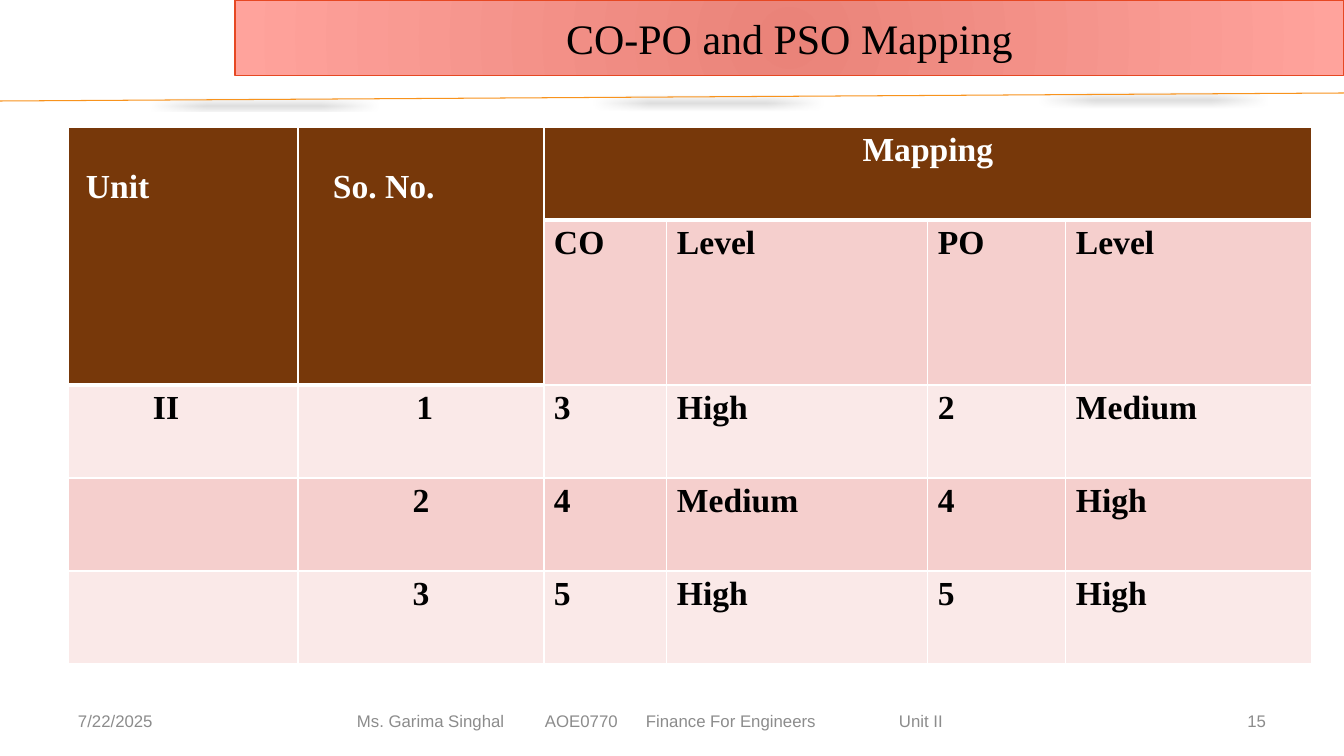
from lxml.etree import SubElement
from pptx import Presentation
from pptx.dml.color import RGBColor
from pptx.enum.shapes import MSO_CONNECTOR, MSO_SHAPE
from pptx.enum.text import MSO_ANCHOR, PP_ALIGN
from pptx.oxml import parse_xml
from pptx.oxml.ns import nsdecls, qn
from pptx.util import Pt

PX = 914400 / 100.8
SERIF, SANS = "Times New Roman", "Arial"
WHITE, BLACK, GREY = "FFFFFF", "000000", "8C8C8C"
BROWN, ROSE, PALE = "77380A", "F5CFCD", "FAE9E8"


def px(*lengths):
    """Turn pixel lengths into a list of EMU."""
    return [round(n * PX) for n in lengths]


def write(tf, text, size, font, color, align=PP_ALIGN.LEFT, bold=False):
    p = tf.paragraphs[0]
    p.alignment = align
    r = p.add_run()
    r.text = text
    r.font.size, r.font.name, r.font.bold = Pt(size), font, bold
    r.font.color.rgb = RGBColor.from_string(color)


prs = Presentation()
prs.slide_width, prs.slide_height = px(1344, 756)
s = prs.slides.add_slide(prs.slide_layouts[6])

# Rule under the title
rule = s.shapes.add_connector(MSO_CONNECTOR.STRAIGHT, *px(0, 101, 1344, 93))
rule.line.color.rgb = RGBColor.from_string("F8931D")
rule.line.width = Pt(0.75)
rule._element.spPr.append(parse_xml(
    f'<a:effectLst {nsdecls("a")}>'
    '<a:outerShdw blurRad="50800" dist="38100" dir="5400000" rotWithShape="0">'
    '<a:srgbClr val="000000"><a:alpha val="40000"/></a:srgbClr>'
    '</a:outerShdw></a:effectLst>'))

# Mapping table
COLS = [230, 246, 123, 261, 138, 246]
ROWS = [93, 165, 93, 93, 93]
VALUES = [
    ["Unit", "So. No.", "Mapping", "", "", ""],
    ["", "", "CO", "Level", "PO", "Level"],
    ["II", "1", "3", "High", "2", "Medium"],
    ["", "2", "4", "Medium", "4", "High"],
    ["", "3", "5", "High", "5", "High"],
]
LEFT_MARGINS = {(0, 0): 18, (0, 1): 35, (2, 0): 85, (2, 1): 18}
table = s.shapes.add_table(len(ROWS), len(COLS),
                           *px(68, 127, sum(COLS), sum(ROWS))).table
for column, width in zip(table.columns, px(*COLS)):
    column.width = width
for row, height in zip(table.rows, px(*ROWS)):
    row.height = height
for first, last in [((0, 0), (1, 0)), ((0, 1), (1, 1)), ((0, 2), (0, 5))]:
    table.cell(*first).merge(table.cell(*last))

for i, values in enumerate(VALUES):
    for j, text in enumerate(values):
        cell = table.cell(i, j)
        header_rows = 2 if j < 2 else 1
        header = i < header_rows
        widths = {"lnL": 1, "lnR": 1,
                  "lnT": 3 if i == header_rows else 1,
                  "lnB": 3 if i == header_rows - 1 or (header and j < 2) else 1}
        tc_pr = cell._tc.get_or_add_tcPr()
        for side, width in widths.items():
            ln = SubElement(tc_pr, qn(f"a:{side}"), w=str(Pt(width)))
            fill = SubElement(ln, qn("a:solidFill"))
            SubElement(fill, qn("a:srgbClr"), val=WHITE)
        cell.fill.solid()
        cell.fill.fore_color.rgb = RGBColor.from_string(
            BROWN if header else ROSE if i % 2 else PALE)
        if (i, j) in LEFT_MARGINS:
            cell.margin_left, = px(LEFT_MARGINS[i, j])
        if header and j < 2:
            cell.margin_top, = px(42)
        if text:
            centred = text == "Mapping" or (j == 1 and not header)
            write(cell.text_frame, text, 24, SERIF, WHITE if header else BLACK,
                  PP_ALIGN.CENTER if centred else PP_ALIGN.LEFT, True)

# Title banner
banner = s.shapes.add_shape(MSO_SHAPE.RECTANGLE, *px(235, 0, 1109, 76))
banner.shadow.inherit = False
banner.fill.gradient()
grad = banner._element.spPr.find(qn("a:gradFill"))
grad.getparent().replace(grad, parse_xml(
    f'<a:gradFill {nsdecls("a")} rotWithShape="1"><a:gsLst>'
    '<a:gs pos="0"><a:srgbClr val="EA8379"/></a:gs>'
    '<a:gs pos="100000"><a:srgbClr val="FFA39C"/></a:gs></a:gsLst>'
    '<a:path path="circle">'
    '<a:fillToRect l="50000" t="50000" r="50000" b="50000"/>'
    '</a:path></a:gradFill>'))
banner.line.color.rgb = RGBColor.from_string("E64823")
banner.line.width = Pt(0.75)
banner.text_frame.vertical_anchor = MSO_ANCHOR.MIDDLE
write(banner.text_frame, "CO-PO and PSO Mapping", 30, SERIF, BLACK,
      PP_ALIGN.CENTER)

# Footer: date, course line on tab stops, slide number
COURSE = "Ms. Garima Singhal\tAOE0770\tFinance For Engineers\tUnit II"
for left, width, inset, text, align, tabs in [
    (68, 176, 10, "7/22/2025", PP_ALIGN.LEFT, []),
    (260, 781, 97, COURSE, PP_ALIGN.LEFT, [188, 289, 542]),
    (1041, 235, 10, "15", PP_ALIGN.RIGHT, []),
]:
    tf = s.shapes.add_textbox(*px(left, 701, width, 40)).text_frame
    tf.word_wrap = True
    tf.vertical_anchor = MSO_ANCHOR.MIDDLE
    tf.margin_left, = px(inset)
    if tabs:
        tab_list = SubElement(tf.paragraphs[0]._p.get_or_add_pPr(),
                              qn("a:tabLst"))
        for stop in px(*tabs):
            SubElement(tab_list, qn("a:tab"), pos=str(stop), algn="l")
    write(tf, text, 12, SANS, GREY, align)

prs.save("out.pptx")
